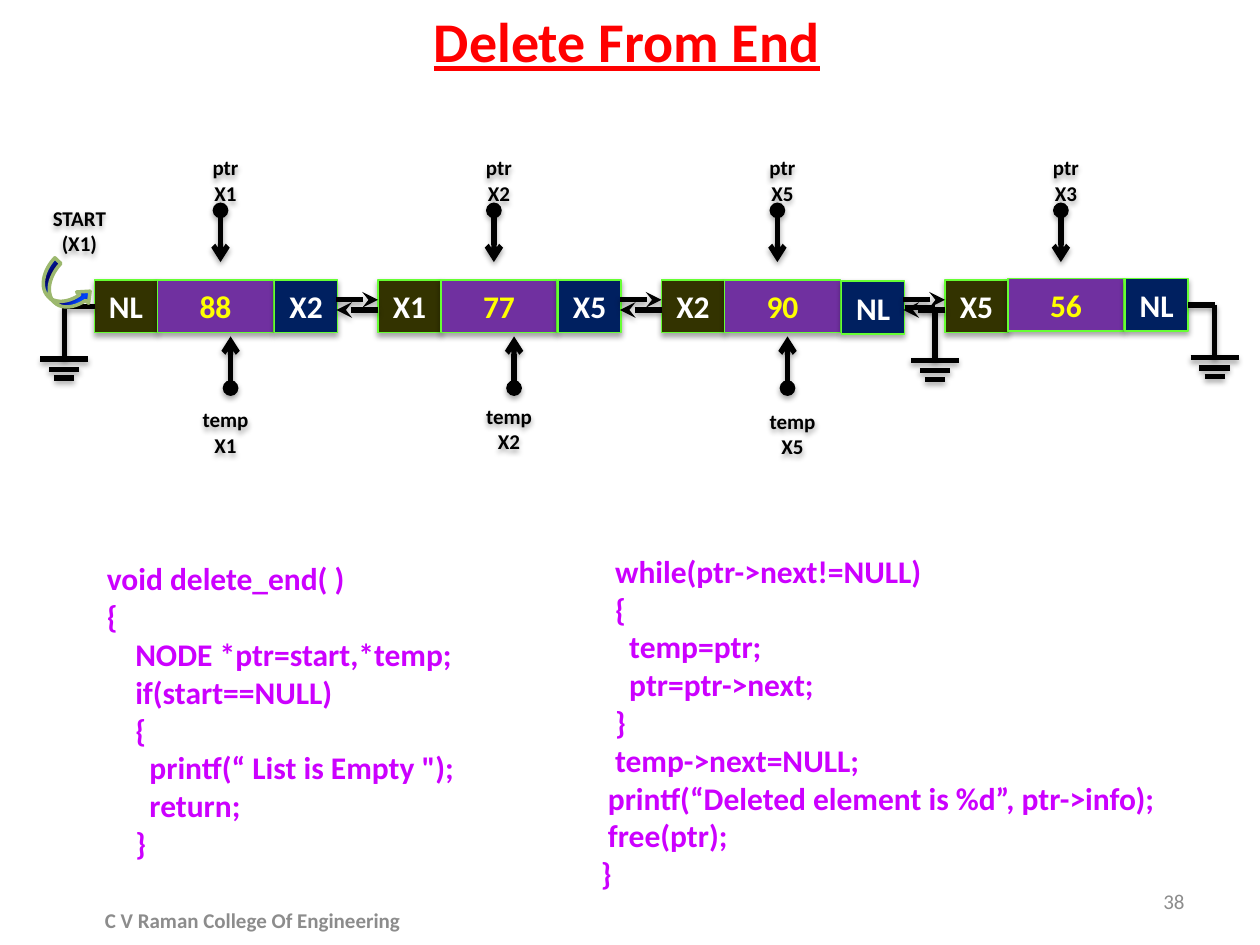
from pptx import Presentation
from pptx.dml.color import RGBColor as RGB
from pptx.enum.shapes import MSO_CONNECTOR as LINK, MSO_SHAPE as FORM
from pptx.enum.text import MSO_ANCHOR as ANCHOR, PP_ALIGN as ALIGN
from pptx.oxml import parse_xml
from pptx.oxml.ns import nsdecls, qn
from pptx.util import Inches, Pt

HUES = {
    "title": "FF0000", "code": "CC00FF", "text": "000000", "gray": "8C8C8C",
    "white": "FFFFFF", "yellow": "FFFF00", "edge": "66FF33",
    "prev": "333300", "info": "7030A0", "next": "002060",
    "rim": "9CB86E", "dark": "000082", "blue": "0047FF",
}
NS = nsdecls("a")
SHADOW = (f'<a:effectLst {NS}><a:outerShdw blurRad="40000" dist="23000" dir="5400000" '
          'rotWithShape="0"><a:srgbClr val="000000"><a:alpha val="35000"/>'
          '</a:srgbClr></a:outerShdw></a:effectLst>')

deck = Presentation()
deck.slide_width, deck.slide_height = Inches(10), Inches(7.5)
slide = deck.slides.add_slide(deck.slide_layouts[5])
shapes = slide.shapes


def write(shape, text, size=18, hue="text", bold=True, under=None,
          align=ALIGN.CENTER, anchor=ANCHOR.MIDDLE, wrap=True):
    frame = shape.text_frame
    frame.text = text
    frame.word_wrap = wrap
    frame.vertical_anchor = anchor
    for para in frame.paragraphs:
        para.alignment = align
        for run in para.runs:
            font = run.font
            font.name, font.size = "Calibri", Pt(size)
            font.bold, font.underline = bold, under
            font.color.rgb = RGB.from_string(HUES[hue])


def stroke(x1, y1, x2, y2, head=None, tail=None):
    line = shapes.add_connector(LINK.STRAIGHT, Inches(x1), Inches(y1),
                                Inches(x2), Inches(y2))
    line.line.width = Pt(3)
    line.line.color.rgb = RGB.from_string(HUES["text"])
    pen = line.element.spPr.find(qn("a:ln"))
    for tag, kind in (("headEnd", head), ("tailEnd", tail)):
        if kind:
            pen.append(parse_xml(f'<a:{tag} {NS} type="{kind}"/>'))
    return line


title = shapes.title
title.left, title.top = Inches(3.33), Inches(0)
title.width, title.height = Inches(3.29), Inches(0.64)
write(title, "Delete From End", size=32, hue="title", under=True, wrap=False)

nodes = [
    (("NL", 2.22), ("88", 2.22), ("X2", 2.22)),
    (("X1", 2.22), ("77", 2.22), ("X5", 2.22)),
    (("X2", 2.22), ("90", 2.22), ("NL", 2.23)),
    (("X5", 2.22), ("56", 2.21), ("NL", 2.21)),
]
parts = [("prev", 0, 0.5, "white"), ("info", 0.5, 0.92, "yellow"),
         ("next", 1.43, 0.5, "white")]
pitch = 2.25
cells = []
for i, node in enumerate(nodes):
    row = []
    for (text, top), (part, dx, wide, hue) in zip(node, parts):
        cell = shapes.add_shape(FORM.RECTANGLE, Inches(0.75 + pitch * i + dx),
                                Inches(top), Inches(wide), Inches(0.42))
        cell.fill.solid()
        cell.fill.fore_color.rgb = RGB.from_string(HUES[part])
        cell.line.color.rgb = RGB.from_string(HUES["edge"])
        cell.line.width = Pt(1)
        write(cell, text, hue=hue)
        row.append(cell)
    cells.append(row)

for i in range(3):
    left, right = 2.67 + pitch * i, 3 + pitch * i
    stroke(left, 2.38, right, 2.38, tail="stealth")
    stroke(right, 2.46, left, 2.46, tail="stealth")

grounds = [(0.51, 2.43, cells[0][0], 1), (7.42, 2.44, cells[2][2], 3),
           (9.64, 2.42, cells[3][2], 3)]
for x, y, cell, side in grounds:
    stroke(x, y, x, y).begin_connect(cell, side)
    stroke(x, y, x, y + 0.42)
    for half, drop in ((0.19, 0.42), (0.12, 0.5), (0.08, 0.57)):
        stroke(x - half, y + drop, x + half, y + drop)

for x in (1.75, 3.92, 6.17, 8.42):
    stroke(x, 1.67, x, 2.08, head="oval", tail="arrow")
for x in (1.83, 4.08, 6.25):
    stroke(x, 3.08, x, 2.67, head="oval", tail="arrow")

labels = [
    ("START\v(X1)", 0.17, 1.62, 0.42),
    ("ptr\nX1", 1.33, 1.17, 0.52), ("ptr\nX2", 3.5, 1.17, 0.52),
    ("ptr\nX5", 5.75, 1.17, 0.52), ("ptr\nX3", 8, 1.17, 0.52),
    ("temp\vX1", 1.33, 3.17, 0.52), ("temp\vX2", 3.58, 3.14, 0.52),
    ("temp\vX5", 5.83, 3.18, 0.52),
]
for text, x, y, tall in labels:
    label = shapes.add_shape(FORM.OVAL, Inches(x), Inches(y), Inches(0.92), Inches(tall))
    label.fill.background()
    label.line.fill.background()
    write(label, text, size=12, wrap=False)

for shape in shapes:
    if not shape.is_placeholder:
        shape.element.spPr.append(parse_xml(SHADOW))

curve = shapes.add_shape(FORM.CURVED_RIGHT_ARROW, Inches(0.38), Inches(2.07),
                         Inches(0.26), Inches(0.45))
curve.rotation = 313.4
for i, value in enumerate((0.25, 0.5, 0.3)):
    curve.adjustments[i] = value
curve.line.color.rgb = RGB.from_string(HUES["rim"])
curve.line.width = Pt(2)
curve.shadow.inherit = False
stops = "".join(
    f'<a:gs pos="{pos * 1000}"><a:srgbClr val="{HUES[("dark", "blue")[i % 2]]}"/></a:gs>'
    for i, pos in enumerate((0, 13, 28, 43, 58, 72, 87, 100)))
curve.element.spPr.insert(2, parse_xml(
    f'<a:gradFill {NS}><a:gsLst>{stops}</a:gsLst><a:lin ang="5400000"/></a:gradFill>'))

start = """void delete_end( )
{
    NODE *ptr=start,*temp;
    if(start==NULL)
    {
      printf(“ List is Empty ");
      return;
    }"""
rest = """  while(ptr->next!=NULL)
  {
    temp=ptr;
    ptr=ptr->next;
  }
  temp->next=NULL;
 printf(“Deleted element is %d”, ptr->info);
 free(ptr);
}"""
code = dict(hue="code", align=ALIGN.LEFT, anchor=ANCHOR.TOP)
foot = dict(size=12, hue="gray")
texts = [
    (start, 0.75, 4.39, 4, 2.52, code),
    (rest, 4.67, 4.33, 5.08, 2.83, code),
    ("38", 7.17, 6.95, 2.33, 0.4, dict(foot, bold=False, align=ALIGN.RIGHT)),
    ("C V Raman College Of Engineering", 0.67, 7.1, 2.67, 0.4, foot),
]
for text, x, y, wide, tall, style in texts:
    box = shapes.add_textbox(Inches(x), Inches(y), Inches(wide), Inches(tall))
    write(box, text, **style)

deck.save("out.pptx")
